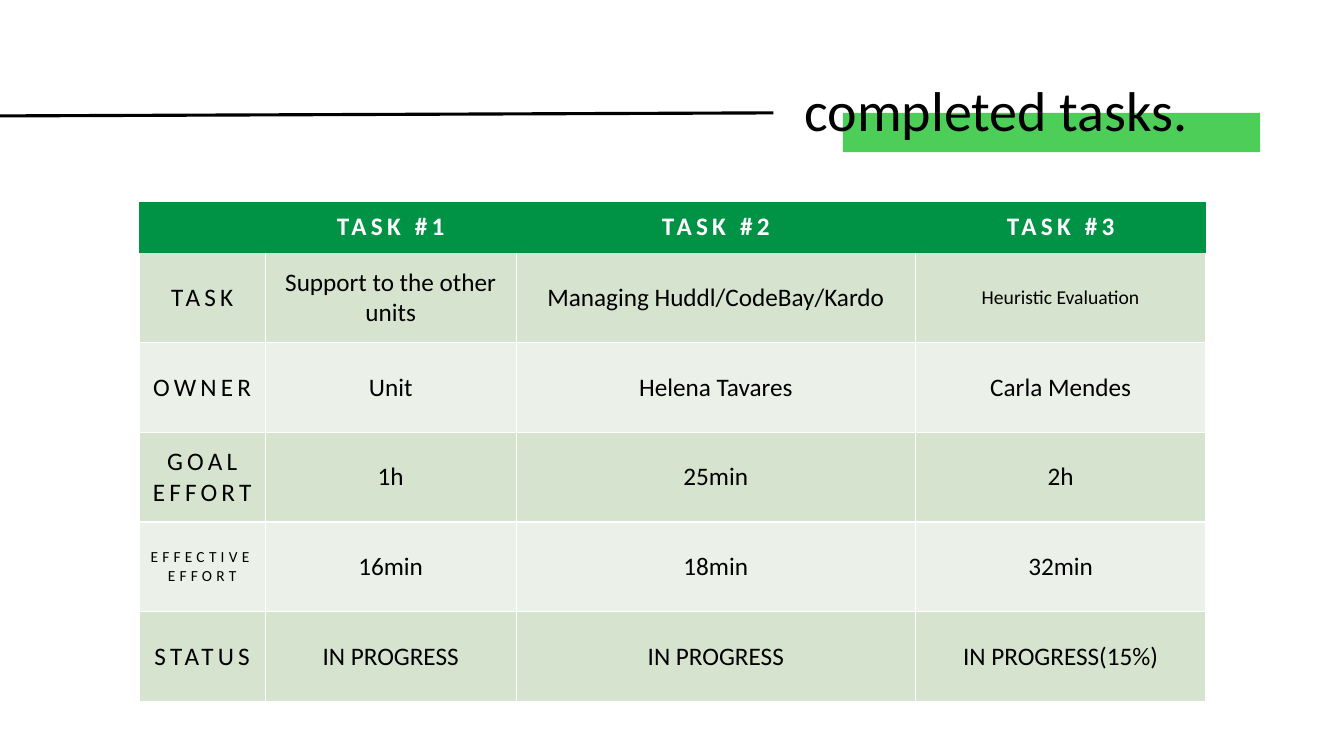
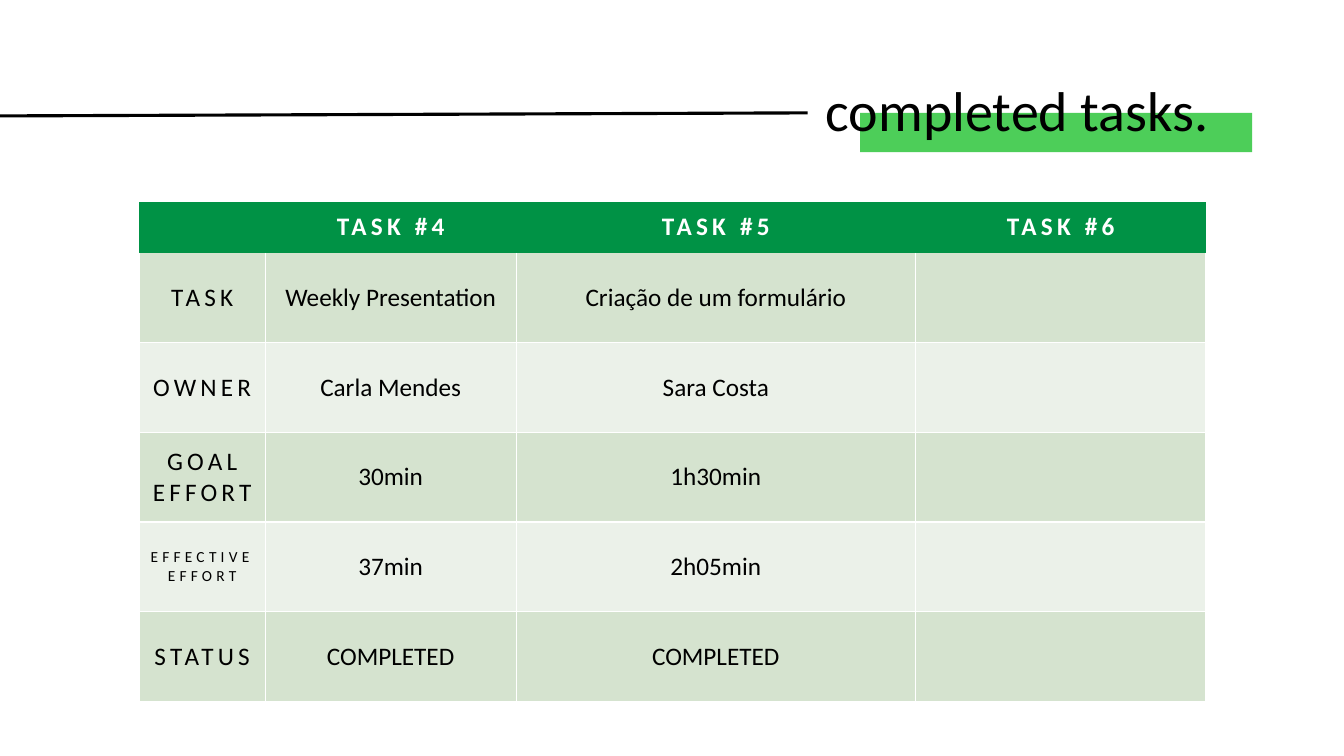
from lxml.etree import SubElement
from pptx import Presentation
from pptx.dml.color import RGBColor
from pptx.enum.shapes import MSO_CONNECTOR, MSO_SHAPE
from pptx.enum.text import MSO_ANCHOR, PP_ALIGN
from pptx.oxml.ns import qn
from pptx.util import Inches, Pt

BLACK = RGBColor(0x00, 0x00, 0x00)
WHITE = RGBColor(0xFF, 0xFF, 0xFF)
ACCENT = RGBColor(0x4D, 0xCE, 0x59)
HEADER = RGBColor(0x00, 0x92, 0x45)
BANDS = (RGBColor(0xD5, 0xE3, 0xCF), RGBColor(0xEB, 0xF1, 0xE9))

FONT = "Calibri"
PLAIN_TABLE = "{2D5ABB26-0587-4C30-8999-92F81FD0307C}"
COLUMNS = (1.25, 2.49, 3.96, 2.88)
HEADER_HEIGHT, ROW_HEIGHT = 0.51, 0.89
LABELS = ("TASK", "OWNER", "GOAL\nEFFORT", "EFFECTIVE EFFORT", "STATUS")
SMALL_SIZES = {"EFFECTIVE EFFORT": 11, "Heuristic Evaluation": 14}


def write(tf, text, size=18, color=BLACK, bold=False, spacing=0,
          align=PP_ALIGN.CENTER, line_spacing=None):
    """Fill a text frame, one paragraph per line; spacing is in points."""
    tf.word_wrap = True
    for i, line in enumerate(text.split("\n")):
        p = tf.add_paragraph() if i else tf.paragraphs[0]
        p.alignment = align
        p.line_spacing = line_spacing
        r = p.add_run()
        r.text = line
        r.font.name, r.font.size, r.font.bold = FONT, Pt(size), bold
        r.font.color.rgb = color
        if spacing:
            r.font._element.set("spc", str(spacing * 100))


def add_borders(cell, color=WHITE, width=1):
    tc_pr = cell._tc.get_or_add_tcPr()
    for side in ("a:lnL", "a:lnR", "a:lnB"):
        ln = SubElement(tc_pr, qn(side), w=str(Pt(width)))
        fill = SubElement(ln, qn("a:solidFill"))
        SubElement(fill, qn("a:srgbClr"), val=str(color))


class Deck:
    """Holds the presentation, its style and the current slide."""

    def __init__(self):
        self.prs = Presentation()
        self.prs.slide_width = Inches(13.33)
        self.prs.slide_height = Inches(7.5)

    def new_slide(self):
        self.slide = self.prs.slides.add_slide(self.prs.slide_layouts[5])

    def bar(self, left, width):
        sp = self.slide.shapes.add_shape(
            MSO_SHAPE.RECTANGLE, Inches(left), Inches(1.12), Inches(width), Inches(0.39))
        sp.shadow.inherit = False
        sp.fill.solid()
        sp.fill.fore_color.rgb = ACCENT
        sp.line.fill.background()

    def title(self, text, left, width):
        sp = self.slide.shapes.title
        sp.left, sp.top = Inches(left), Inches(0.4)
        sp.width, sp.height = Inches(width), Inches(1.45)
        tf = sp.text_frame
        tf.vertical_anchor = MSO_ANCHOR.MIDDLE
        write(tf, text, size=40, align=PP_ALIGN.LEFT, line_spacing=0.9)
        self.slide.shapes._spTree.append(sp._element)  # in front of the bar

    def rule(self, end):
        line = self.slide.shapes.add_connector(
            MSO_CONNECTOR.STRAIGHT, 0, Inches(1.15), Inches(end), Inches(1.12))
        line.line.color.rgb = BLACK
        line.line.width = Pt(2.25)
        SubElement(line._element.spPr, qn("a:effectLst"))

    def cell(self, cell, text, fill, **text_format):
        cell.vertical_anchor = MSO_ANCHOR.MIDDLE
        cell.fill.solid()
        cell.fill.fore_color.rgb = fill
        if text:
            write(cell.text_frame, text, **text_format)

    def task_table(self, first_task, rows):
        height = HEADER_HEIGHT + ROW_HEIGHT * len(rows)
        table = self.slide.shapes.add_table(
            len(rows) + 1, len(COLUMNS), Inches(1.38), Inches(2),
            Inches(sum(COLUMNS)), Inches(height)).table
        table._tbl.tblPr.find(qn("a:tableStyleId")).text = PLAIN_TABLE
        for column, width in zip(table.columns, COLUMNS):
            column.width = Inches(width)
        for i, row in enumerate(table.rows):
            row.height = Inches(ROW_HEIGHT if i else HEADER_HEIGHT)

        headings = [""] + [f"TASK #{first_task + i}" for i in range(3)]
        for c, heading in enumerate(headings):
            self.cell(table.cell(0, c), heading, HEADER,
                      color=WHITE, bold=True, spacing=3)
        for r, (label, values) in enumerate(zip(LABELS, rows)):
            for c, text in enumerate((label, *values)):
                cell = table.cell(r + 1, c)
                add_borders(cell)
                self.cell(cell, text, BANDS[r % 2], size=SMALL_SIZES.get(text, 18),
                          spacing=0 if c else 3)

    def task_slide(self, bar, title, rule_end, first_task, rows):
        """Add a slide; bar and title are (left, width) pairs in inches."""
        self.new_slide()
        self.bar(*bar)
        self.title("completed tasks.", *title)
        self.task_table(first_task, rows)
        self.rule(rule_end)


def main():
    deck = Deck()
    deck.task_slide(
        bar=(8.36, 4.14), title=(7.88, 4.84), rule_end=7.67, first_task=1,
        rows=[
            ("Support to the other units", "Managing Huddl/CodeBay/Kardo",
             "Heuristic Evaluation"),
            ("Unit", "Helena Tavares", "Carla Mendes"),
            ("1h", "25min", "2h"),
            ("16min", "18min", "32min"),
            ("IN PROGRESS", "IN PROGRESS", "IN PROGRESS(15%)"),
        ])
    deck.task_slide(
        bar=(8.53, 3.89), title=(8.09, 4.65), rule_end=8.01, first_task=4,
        rows=[
            ("Weekly Presentation", "Criação de um formulário", ""),
            ("Carla Mendes", "Sara Costa", ""),
            ("30min", "1h30min", ""),
            ("37min", "2h05min", ""),
            ("COMPLETED", "COMPLETED", ""),
        ])
    deck.prs.save("out.pptx")


if __name__ == "__main__":
    main()
